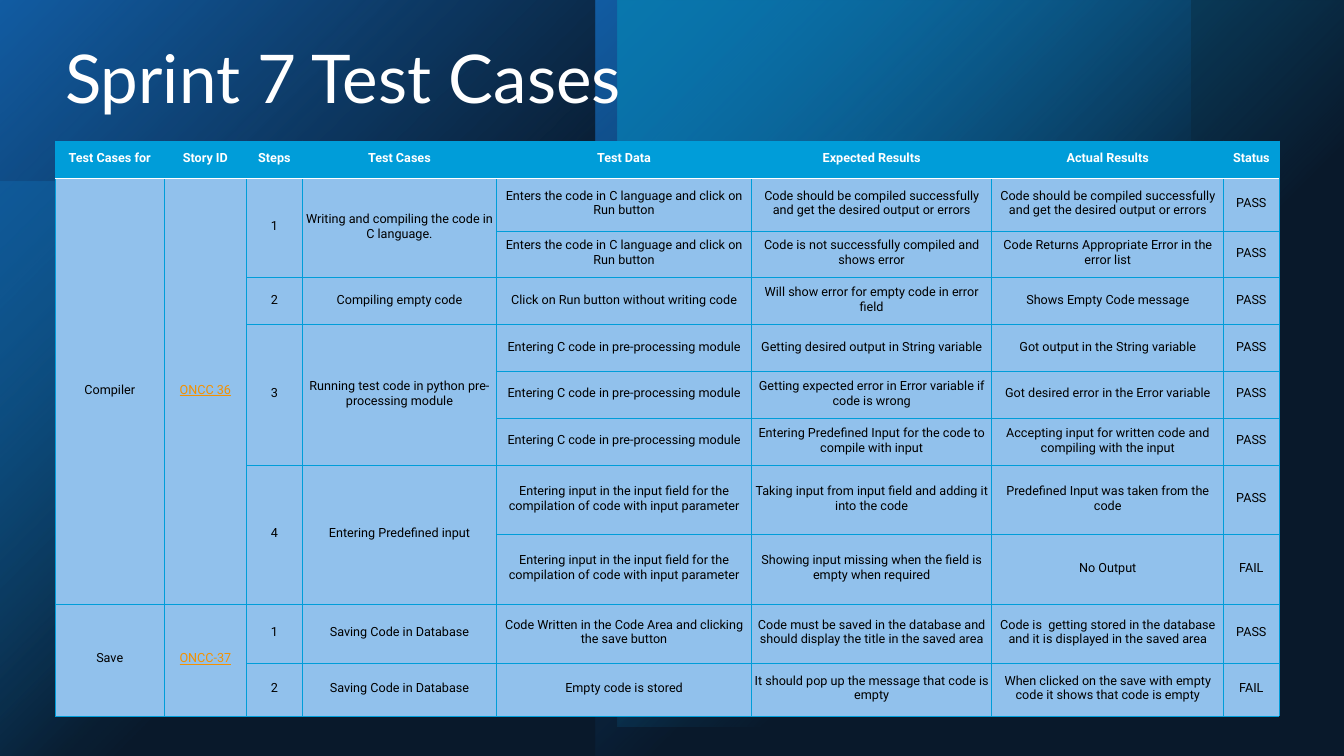
from lxml import etree
from pptx import Presentation
from pptx.dml.color import RGBColor
from pptx.enum.shapes import MSO_SHAPE
from pptx.enum.text import MSO_ANCHOR, PP_ALIGN
from pptx.oxml import parse_xml
from pptx.util import Cm, Pt

RECT, OVAL = MSO_SHAPE.RECTANGLE, MSO_SHAPE.OVAL
TOP, MIDDLE = MSO_ANCHOR.TOP, MSO_ANCHOR.MIDDLE
LEFT, CENTER = PP_ALIGN.LEFT, PP_ALIGN.CENTER
A = "http://schemas.openxmlformats.org/drawingml/2006/main"
COLORS = {
    "black": "000000", "white": "FFFFFF", "blue": "0F6FC6", "sky": "009DD9",
    "cyan": "0BD0D9", "navy": "17406D", "cell": "91C1EC", "link": "F49100",
}
GLOWS = [
    (0, 4.57, 14.5, 14.5, "sky", 60),
    (0, 0, 15, 19.05, "blue", 100),
    (15, 0, 15, 19.05, "blue", 100),
    (15.56, 0, 18.3, 18.3, "sky", 100),
]
DISCS = [(15.98, 1.09, 12, 12, "cyan", 60), (0, 1.42, 17.63, 17.63, "cyan", 20)]
COL_WIDTHS = [2.75, 2.07, 1.41, 4.89, 6.43, 6.05, 5.85, 1.39]
ROW_HEIGHTS = [0.94, 1.33] + [1.18] * 5 + [1.75] * 2 + [1.49, 1.33]
LINK_COL = 1
RUN_C = "Enters the code in C language and click on Run button"
PREPROCESS = "Entering C code in pre-processing module"
INPUT_FIELD = ("Entering input in the input field for the compilation of code "
               "with input parameter")
COMPILED = "Code should be compiled successfully and get the desired output or errors"
SAVING = "Saving Code in Database"
ROWS = [
    ("Test Cases for", "Story ID", "Steps", "Test Cases", "Test Data",
     "Expected Results", "Actual Results", "Status"),
    ("Compiler", "ONCC 36", "1", "Writing and compiling the code in C language.",
     RUN_C, COMPILED, COMPILED, "PASS"),
    (None, None, None, None, RUN_C,
     "Code is not successfully compiled and shows error",
     "Code Returns Appropriate Error in the error list", "PASS"),
    (None, None, "2", "Compiling empty code", "Click on Run button without writing code",
     "Will show error for empty code in error field", "Shows Empty Code message", "PASS"),
    (None, None, "3", "Running test code in python pre-processing module", PREPROCESS,
     "Getting desired output in String variable", "Got output in the String variable", "PASS"),
    (None, None, None, None, PREPROCESS,
     "Getting expected error in Error variable if code is wrong",
     "Got desired error in the Error variable", "PASS"),
    (None, None, None, None, PREPROCESS,
     "Entering Predefined Input for the code to compile with input",
     "Accepting input for written code and compiling with the input", "PASS"),
    (None, None, "4", "Entering Predefined input", INPUT_FIELD,
     "Taking input from input field and adding it into the code",
     "Predefined Input was taken from the code", "PASS"),
    (None, None, None, None, INPUT_FIELD,
     "Showing input missing when the field is empty when required", "No Output", "FAIL"),
    ("Save", "ONCC-37", "1", SAVING,
     "Code Written in the Code Area and clicking the save button",
     "Code must be saved in the database and should display the title in the saved area",
     "Code is  getting stored in the database and it is displayed in the saved area", "PASS"),
    (None, None, "2", SAVING, "Empty code is stored",
     "It should pop up the message that code is empty",
     "When clicked on the save with empty code it shows that code is empty", "FAIL"),
]


def rgb(name):
    """Return the named colour."""
    return RGBColor.from_string(COLORS[name])


def write(tf, text, font="Roboto", size=9, color="black", bold=False,
          underline=False, align=CENTER, spacing=None):
    """Put one formatted paragraph in a text frame."""
    p = tf.paragraphs[0]
    p.alignment = align
    p.line_spacing = spacing
    r = p.add_run()
    r.text = text
    r.font.name, r.font.size = font, Pt(size)
    r.font.bold, r.font.underline = bold, underline
    r.font.color.rgb = rgb(color)


def color_xml(color, alpha):
    """Return a colour element with its opacity in percent."""
    return (f'<a:srgbClr val="{COLORS[color]}">'
            f'<a:alpha val="{alpha * 1000}"/></a:srgbClr>')


def add_backdrop(s, kind, box, fill_xml):
    """Add a shape without outline and with the given fill element."""
    sp = s.shapes.add_shape(kind, *(Cm(v) for v in box))
    sp.shadow.inherit = False
    sp.line.fill.background()
    sp.element.spPr.find(f"{{{A}}}prstGeom").addnext(parse_xml(fill_xml))
    return sp


def add_glow(s, x, y, w, h, color, alpha):
    """Add a rectangle that fades out from its top left corner."""
    add_backdrop(s, RECT, (x, y, w, h), (
        f'<a:gradFill xmlns:a="{A}" rotWithShape="1"><a:gsLst>'
        f'<a:gs pos="0">{color_xml(color, alpha)}</a:gs>'
        f'<a:gs pos="60000">{color_xml(color, 0)}</a:gs></a:gsLst>'
        '<a:path path="circle"><a:fillToRect r="100000" b="100000"/></a:path>'
        '</a:gradFill>'))


def add_tint(s, kind, box, color, alpha):
    """Add a shape with a see-through fill."""
    return add_backdrop(s, kind, box, (
        f'<a:solidFill xmlns:a="{A}">{color_xml(color, alpha)}</a:solidFill>'))


def add_disc(s, x, y, w, h, color, alpha):
    """Add a see-through disc with a soft edge."""
    sp = add_tint(s, OVAL, (x, y, w, h), color, alpha)
    effects = sp.element.spPr.find(f"{{{A}}}effectLst")
    etree.SubElement(effects, f"{{{A}}}softEdge", rad=str(Cm(3.5)))


def set_border(cell, side, color, width):
    """Draw one border of a cell."""
    cell._tc.get_or_add_tcPr().append(parse_xml(
        f'<a:ln{side} xmlns:a="{A}" w="{Pt(width)}"><a:solidFill>'
        f'<a:srgbClr val="{COLORS[color]}"/></a:solidFill></a:ln{side}>'))


def format_cell(cell, row):
    """Set margins, borders and fill of a cell."""
    cell.vertical_anchor = MIDDLE
    cell.margin_left = cell.margin_right = cell.margin_top = Cm(0.03)
    cell.margin_bottom = Cm(0.1)
    rule = ("white", 1)
    thin = ("sky", 0.5)
    for side in "LR":
        set_border(cell, side, *thin)
    set_border(cell, "T", *(rule if row == 1 else thin))
    set_border(cell, "B", *(rule if row == 0 else thin))
    cell.fill.solid()
    cell.fill.fore_color.rgb = rgb("cell" if row else "sky")


def add_test_table(s):
    """Add the test case table, merging empty entries into the cell above."""
    table = s.shapes.add_table(len(ROWS), len(COL_WIDTHS), Cm(1.39), Cm(3.55),
                               Cm(sum(COL_WIDTHS)), Cm(sum(ROW_HEIGHTS))).table
    for col, width in zip(table.columns, COL_WIDTHS):
        col.width = Cm(width)
    for row, height in zip(table.rows, ROW_HEIGHTS):
        row.height = Cm(height)
    for i, row in enumerate(ROWS):
        for j, text in enumerate(row):
            cell = table.cell(i, j)
            format_cell(cell, i)
            if text is None:
                continue
            link = i > 0 and j == LINK_COL
            color = "white" if i == 0 else "link" if link else "black"
            write(cell.text_frame, text, color=color, bold=i == 0, underline=link)
            end = i + 1
            while end < len(ROWS) and ROWS[end][j] is None:
                end += 1
            if end > i + 1:
                cell.merge(table.cell(end - 1, j))


def add_title(s, text):
    """Place the title on top of the other shapes."""
    title = s.shapes.title
    title.left, title.top, title.width, title.height = Cm(1.39), Cm(1.02), Cm(30.84), Cm(2.51)
    tf = title.text_frame
    tf.word_wrap = True
    tf.vertical_anchor = TOP
    write(tf, text, font="Lato", size=48, color="white", align=LEFT, spacing=0.9)
    s.shapes.element.append(title.element)


def main():
    """Build the slide and save it."""
    prs = Presentation()
    prs.slide_width, prs.slide_height = Cm(33.87), Cm(19.05)
    s = prs.slides.add_slide(prs.slide_layouts[5])
    s.background.fill.solid()
    s.background.fill.fore_color.rgb = rgb("black")
    for disc in DISCS:
        add_disc(s, *disc)
    for glow in GLOWS:
        add_glow(s, *glow)
    add_tint(s, RECT, (0, 0, 33.87, 19.05), "navy", 40)
    add_test_table(s)
    add_title(s, "Sprint 7 Test Cases")
    prs.save("out.pptx")


if __name__ == "__main__":
    main()
